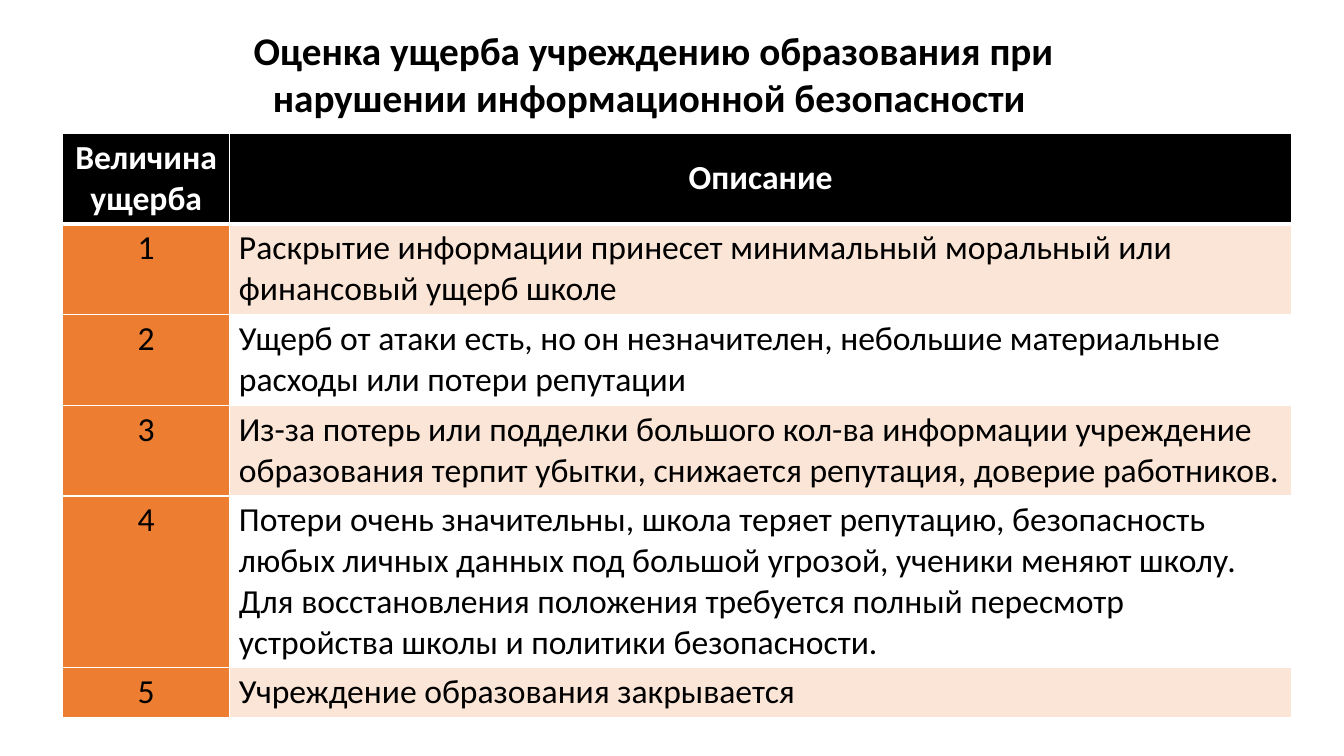
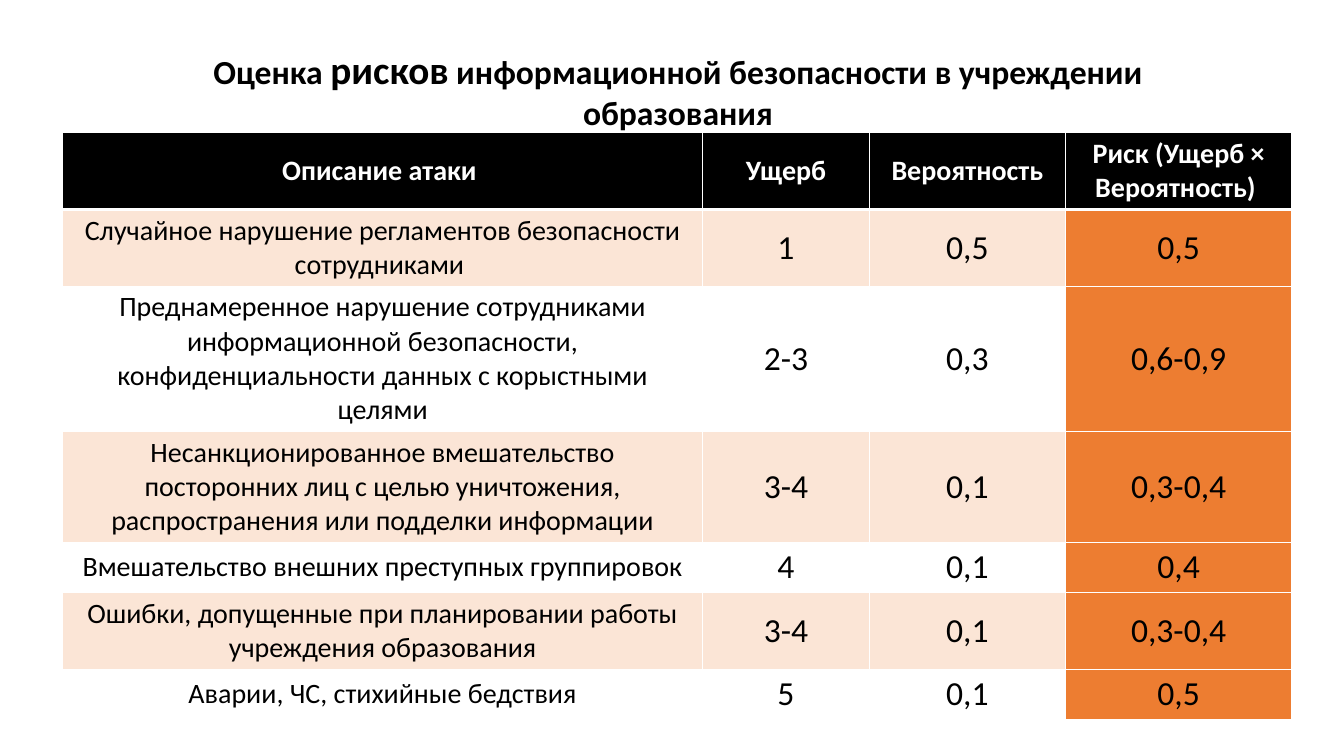
import pptx
import pptx.dml.color
import pptx.enum.text
import pptx.oxml
import pptx.oxml.ns
import pptx.util
from pptx.util import Inches

COLORS = {
    "title": "000000",
    "header": "000000",
    "header_text": "FFFFFF",
    "text": "000000",
    "accent": "ED7D31",
    "band": "FBE5D6",
    "plain": "FFFFFF",
    "border": "FFFFFF",
}
FONT = "Calibri"
TABLE_LEFT = 0.62
CENTER = pptx.enum.text.PP_ALIGN.CENTER
LEFT = pptx.enum.text.PP_ALIGN.LEFT
MIDDLE = pptx.enum.text.MSO_ANCHOR.MIDDLE
TOP = pptx.enum.text.MSO_ANCHOR.TOP

DAMAGE_ROWS = [
    ("Величина ущерба", "Описание"),
    ("1", "Раскрытие информации принесет минимальный моральный или "
          "финансовый ущерб школе"),
    ("2", "Ущерб от атаки есть, но он незначителен, небольшие материальные "
          "расходы или потери репутации"),
    ("3", "Из-за потерь или подделки большого кол-ва информации учреждение "
          "образования терпит убытки, снижается репутация, доверие работников."),
    ("4", "Потери очень значительны, школа теряет репутацию, безопасность "
          "любых личных данных под большой угрозой, ученики меняют школу. "
          "Для восстановления положения требуется полный пересмотр "
          "устройства школы и политики безопасности."),
    ("5", "Учреждение образования закрывается"),
]
RISK_ROWS = [
    ("Описание атаки ", "Ущерб", "Вероятность", "Риск (Ущерб × Вероятность) "),
    ("Случайное нарушение регламентов безопасности сотрудниками ",
     "1", "0,5", "0,5"),
    ("Преднамеренное нарушение сотрудниками информационной безопасности, "
     "конфиденциальности данных с корыстными целями", "2-3", "0,3", "0,6-0,9"),
    ("Несанкционированное вмешательство посторонних лиц с целью уничтожения, "
     "распространения или подделки информации", "3-4", "0,1", "0,3-0,4"),
    ("Вмешательство внешних преступных группировок", "4", "0,1", "0,4"),
    ("Ошибки, допущенные при планировании работы учреждения образования",
     "3-4", "0,1", "0,3-0,4"),
    ("Аварии, ЧС, стихийные бедствия", "5", "0,1", "0,5"),
]


def rgb(role):
    """Return the colour that belongs to a role."""
    return pptx.dml.color.RGBColor.from_string(COLORS[role])


def style_run(run, size, role, bold=False):
    """Set the font of one run."""
    run.font.name = FONT
    run.font.size = pptx.util.Pt(size)
    run.font.bold = bold
    run.font.color.rgb = rgb(role)


def add_title(slide, box, parts):
    """Add a centred bold title made of (text, size) parts."""
    frame = slide.shapes.add_textbox(*map(Inches, box)).text_frame
    frame.word_wrap = True
    frame.auto_size = pptx.enum.text.MSO_AUTO_SIZE.SHAPE_TO_FIT_TEXT
    heading = frame.paragraphs[0]
    heading.alignment = CENTER
    for text, size in parts:
        run = heading.add_run()
        run.text = text
        style_run(run, size, "title", bold=True)


def set_borders(cell, bottom):
    """Draw the cell borders, with the bottom width in points."""
    properties = cell._tc.get_or_add_tcPr()
    widths = {"lnL": 1, "lnR": 1, "lnT": 1, "lnB": bottom}
    for position, (side, width) in enumerate(widths.items()):
        border = pptx.oxml.parse_xml(
            f'<a:{side} {pptx.oxml.ns.nsdecls("a")} w="{pptx.util.Pt(width)}">'
            f'<a:solidFill><a:srgbClr val="{COLORS["border"]}"/></a:solidFill>'
            f'</a:{side}>')
        properties.insert(position, border)


def fill_cell(cell, text, fill, size, role, align, anchor, bold=False, bottom=1):
    """Write and format one table cell."""
    cell.margin_left = cell.margin_right = Inches(0.09)
    cell.margin_top = cell.margin_bottom = Inches(0.04)
    cell.vertical_anchor = anchor
    cell.fill.solid()
    cell.fill.fore_color.rgb = rgb(fill)
    cell.text_frame.text = text
    paragraph = cell.text_frame.paragraphs[0]
    paragraph.alignment = align
    style_run(paragraph.runs[0], size, role, bold)
    set_borders(cell, bottom)


def add_banded_table(slide, top, rows, widths, heights, header_size, sizes,
                     aligns, anchor, accent_column):
    """Add a table with a dark header, banded rows and one accent column."""
    table = slide.shapes.add_table(
        len(rows), len(widths), Inches(TABLE_LEFT), Inches(top),
        Inches(sum(widths)), Inches(sum(heights))).table
    for column, width in zip(table.columns, widths):
        column.width = Inches(width)
    for row, height in zip(table.rows, heights):
        row.height = Inches(height)
    for r, texts in enumerate(rows):
        for c, text in enumerate(texts):
            cell = table.cell(r, c)
            if r == 0:
                fill_cell(cell, text, "header", header_size, "header_text",
                          CENTER, MIDDLE, bold=True, bottom=3)
                continue
            band = "band" if r % 2 else "plain"
            fill = "accent" if c == accent_column else band
            fill_cell(cell, text, fill, sizes[c], "text", aligns[c], anchor)


def build_damage_slide(slide):
    """Build the scale of damage."""
    add_title(slide, (2.22, 0.21, 8.52, 1.04), [
        ("Оценка ущерба учреждению образования при нарушении "
         "информационной безопасности ", 28)])
    add_banded_table(
        slide, 1.32, DAMAGE_ROWS, widths=[1.66, 10.53],
        heights=[0.9, 0.9, 0.9, 0.9, 1.7, 0.5], header_size=24,
        sizes=[24, 24], aligns=[CENTER, LEFT], anchor=TOP, accent_column=0)


def build_risk_slide(slide):
    """Build the risk assessment of attacks."""
    add_title(slide, (1.29, 0.4, 10.87, 0.57), [
        ("Оценка ", 24), ("рисков", 28),
        (" информационной безопасности в учреждении образования", 24)])
    add_banded_table(
        slide, 1.31, RISK_ROWS, widths=[6.35, 1.65, 1.95, 2.24],
        heights=[0.77, 0.76, 1.44, 1.1, 0.5, 0.76, 0.5], header_size=20,
        sizes=[20, 24, 24, 24], aligns=[CENTER] * 4, anchor=MIDDLE,
        accent_column=3)


def main():
    """Build and save the presentation."""
    deck = pptx.Presentation()
    deck.slide_width = Inches(13.33)
    deck.slide_height = Inches(7.5)
    blank = deck.slide_layouts[6]
    for build in (build_damage_slide, build_risk_slide):
        build(deck.slides.add_slide(blank))
    deck.save("out.pptx")


main()
